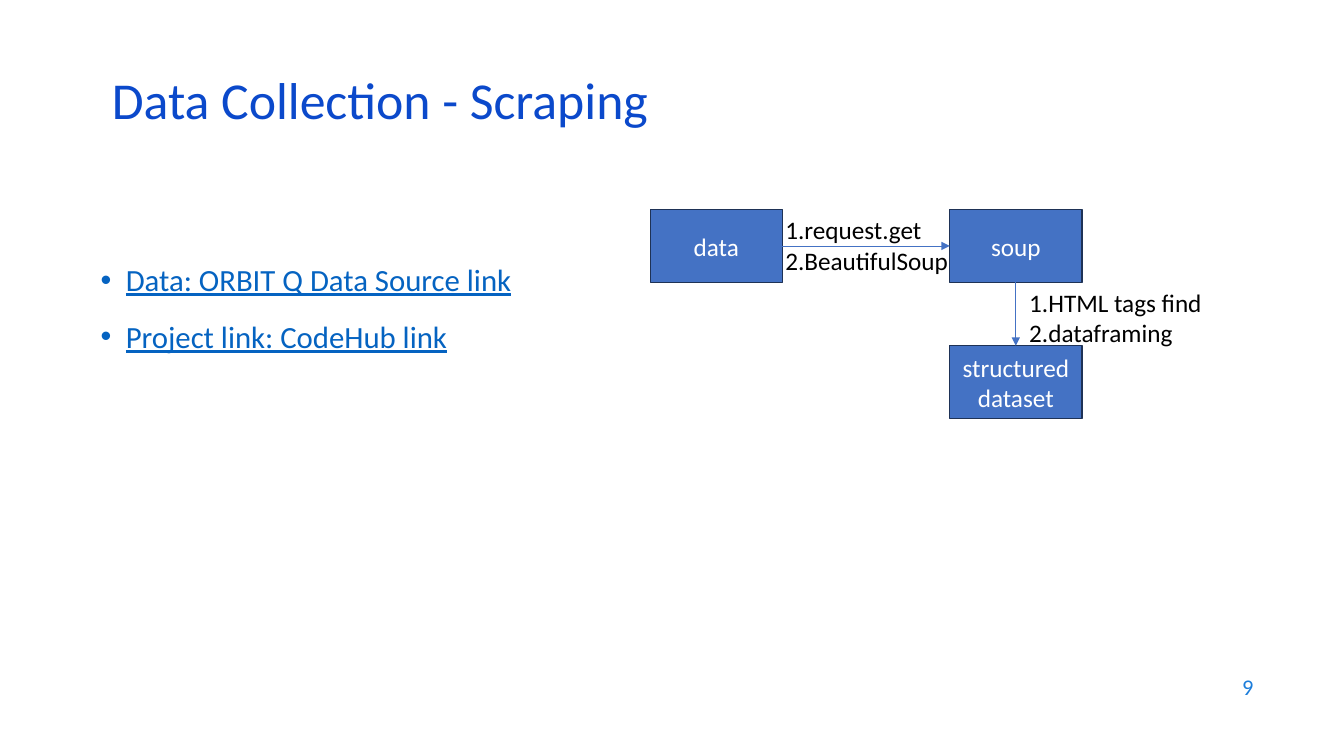
import pptx
import pptx.util
import pptx.dml.color
import pptx.enum.shapes
import pptx.enum.text
import pptx.oxml.ns
import lxml.etree

Inches = pptx.util.Inches
Pt = pptx.util.Pt
ALIGN = pptx.enum.text.PP_ALIGN
ANCHOR = pptx.enum.text.MSO_ANCHOR

COLORS = {
    "title": "0B49CB",
    "number": "1C7DDB",
    "link": "0563C1",
    "box": "4472C4",
    "edge": "1E3256",
    "white": "FFFFFF",
    "black": "000000",
}
BOX_W, BOX_H = 1.31, 0.72
LEFT, RIGHT = 6.45, 9.42
TOP, LOW = 2.08, 3.43


def color(name):
    return pptx.dml.color.RGBColor.from_string(COLORS[name])


def child(parent, tag, **attrs):
    return lxml.etree.SubElement(parent, pptx.oxml.ns.qn(tag), **attrs)


def write(para, text, size, tint, align=ALIGN.LEFT):
    para.alignment = align
    run = para.add_run()
    run.text = text
    run.font.name = "Calibri"
    run.font.size = Pt(size)
    run.font.color.rgb = color(tint)
    return run


def add_title(slide, text):
    title = slide.shapes.title
    title.left, title.top = Inches(1.01), Inches(0.76)
    title.width, title.height = Inches(11.5), Inches(0.6)
    frame = title.text_frame
    frame.vertical_anchor = ANCHOR.MIDDLE
    frame.auto_size = pptx.enum.text.MSO_AUTO_SIZE.NONE
    para = frame.paragraphs[0]
    para.line_spacing = 0.7
    write(para, text, 37, "title")


def add_text(slide, place, lines, size, tint, align=ALIGN.LEFT, wrap=True):
    frame = slide.shapes.add_textbox(*map(Inches, place)).text_frame
    frame.word_wrap = wrap
    for i, line in enumerate(lines):
        para = frame.add_paragraph() if i else frame.paragraphs[0]
        write(para, line, size, tint, align)
    return frame


def add_links(slide, lines):
    frame = add_text(slide, (0.9, 2.54, 5.07, 4.05), lines, 22, "link")
    for i, para in enumerate(frame.paragraphs):
        props = para._p.get_or_add_pPr()
        props.set("marL", str(Inches(0.25)))
        props.set("indent", str(Inches(-0.25)))
        child(props, "a:buFont", typeface="Arial")
        child(props, "a:buChar", char="•")
        if i:
            para.space_before = Pt(14)
        para.runs[0].font.underline = True


def add_box(slide, left, top, text):
    box = slide.shapes.add_shape(
        pptx.enum.shapes.MSO_SHAPE.RECTANGLE,
        Inches(left), Inches(top), Inches(BOX_W), Inches(BOX_H))
    box.shadow.inherit = False
    box.fill.solid()
    box.fill.fore_color.rgb = color("box")
    box.line.color.rgb = color("edge")
    box.line.width = Pt(1)
    frame = box.text_frame
    frame.word_wrap = True
    frame.vertical_anchor = ANCHOR.MIDDLE
    write(frame.paragraphs[0], text, 18, "white", ALIGN.CENTER)
    return box


def add_arrow(slide, start, start_site, end, end_site):
    arrow = slide.shapes.add_connector(
        pptx.enum.shapes.MSO_CONNECTOR.STRAIGHT, 0, 0, 0, 0)
    arrow.begin_connect(start, start_site)
    arrow.end_connect(end, end_site)
    arrow.line.color.rgb = color("box")
    arrow.line.width = Pt(0.5)
    child(arrow.line._get_or_add_ln(), "a:tailEnd", type="triangle")
    child(arrow._element.spPr, "a:effectLst")


def main():
    deck = pptx.Presentation()
    deck.slide_width, deck.slide_height = Inches(13.33), Inches(7.5)
    slide = deck.slides.add_slide(deck.slide_layouts[5])

    add_title(slide, "Data Collection - Scraping")
    add_links(slide, ["Data: ORBIT Q Data Source link",
                      "Project link: CodeHub link"])

    data = add_box(slide, LEFT, TOP, "data")
    soup = add_box(slide, RIGHT, TOP, "soup")
    table = add_box(slide, RIGHT, LOW, "structured dataset")
    add_arrow(slide, data, 3, soup, 1)
    add_arrow(slide, soup, 2, table, 0)
    add_text(slide, (7.69, TOP, 1.84, 0.71),
             ["1.request.get", "2.BeautifulSoup"], 18, "black", wrap=False)
    add_text(slide, (10.11, TOP + BOX_H, 1.93, 0.71),
             ["1.HTML tags find", "2.dataframing"], 18, "black", wrap=False)

    number = add_text(slide, (9.53, 6.59, 3, 0.44), ["9"], 16, "number",
                      ALIGN.RIGHT)
    number.vertical_anchor = ANCHOR.MIDDLE
    deck.save("out.pptx")


if __name__ == "__main__":
    main()
